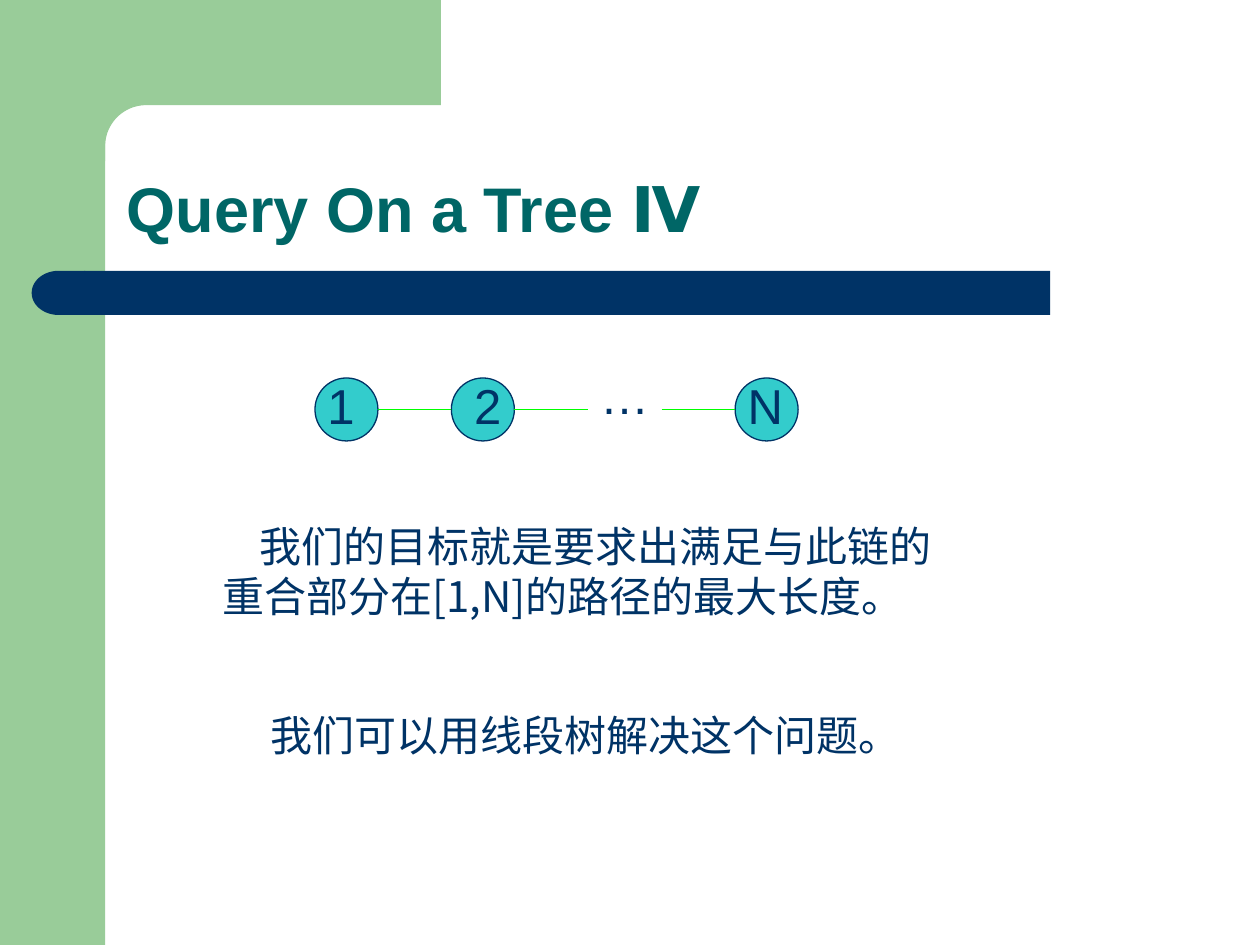
import math
from pptx import Presentation, util as u
from pptx.dml.color import RGBColor
from pptx.enum import shapes, text
from pptx.oxml.ns import qn
from lxml import etree

GREEN, NAVY, TEAL = "99CC99", "003366", "006666"
CYAN, LIME = "33CCCC", "00FF00"


def rgb(value):
    return RGBColor.from_string(value)


class Deck:
    font, cjk, line_width = "Arial", "Noto Sans CJK SC", 0.74

    def __init__(self, width, height):
        self.prs = Presentation()
        self.prs.slide_width, self.prs.slide_height = u.Cm(width), u.Cm(height)
        self.s = self.prs.slides.add_slide(self.prs.slide_layouts[6])

    def paint(self, sp, fill, line=None):
        sp.shadow.inherit = False
        sp.fill.solid()
        sp.fill.fore_color.rgb = rgb(fill)
        if line:
            sp.line.color.rgb = rgb(line)
            sp.line.width = u.Pt(self.line_width)
        else:
            sp.line.fill.background()
        return sp

    def shape(self, kind, box, fill, line=None):
        sp = self.s.shapes.add_shape(kind, *map(u.Cm, box))
        return self.paint(sp, fill, line)

    def outline(self, points, fill):
        points = [(u.Cm(x), u.Cm(y)) for x, y in points]
        fb = self.s.shapes.build_freeform(*points[0])
        fb.add_line_segments(points[1:], close=True)
        return self.paint(fb.convert_to_shape(), fill)

    def line(self, x1, x2, y, color):
        c = self.s.shapes.add_connector(
            shapes.MSO_CONNECTOR.STRAIGHT, *map(u.Cm, (x1, y, x2, y)))
        c.line.color.rgb = rgb(color)
        c.line.width = u.Pt(self.line_width)
        etree.SubElement(c._element.spPr, qn("a:effectLst"))

    def text(self, words, box, size, color=NAVY, font=None, bold=False,
             anchor=text.MSO_ANCHOR.TOP, indent=0, spacing=1.0):
        tf = self.s.shapes.add_textbox(*map(u.Cm, box)).text_frame
        tf.word_wrap, tf.vertical_anchor = True, anchor
        p = tf.paragraphs[0]
        p.line_spacing = spacing
        if indent:
            p._p.get_or_add_pPr().set("indent", str(u.Cm(indent)))
        r = p.add_run()
        r.text = words
        style = {"name": font or self.font, "size": u.Pt(size), "bold": bold}
        for name, value in style.items():
            setattr(r.font, name, value)
        r.font.color.rgb = rgb(color)
        ea = etree.SubElement(r._r.get_or_add_rPr(), qn("a:ea"))
        ea.set("typeface", style["name"])


deck = Deck(25.4, 19.05)
kind = shapes.MSO_SHAPE

side, radius, band_right, band_bottom = 2.12, 0.83, 8.89, 2.12
deck.shape(kind.RECTANGLE, (0, 0, side, 19.05), GREEN)
angles = [math.radians(a) for a in range(0, 91, 6)]
corner = [(side + radius * (1 - math.sin(a)), band_bottom + radius * (1 - math.cos(a)))
          for a in angles]
deck.outline([(1.27, 0), (band_right, 0), (band_right, band_bottom), *corner,
              (side, 3.25), (1.27, 3.25)], GREEN)

deck.shape(kind.RECTANGLE, (1.7, 5.46, 19.47, 0.89), NAVY)
cap = deck.shape(kind.FLOWCHART_DELAY, (0.64, 5.46, 1.08, 0.89), NAVY)
cap._element.spPr.xfrm.set("flipH", "1")

deck.text("Query On a Tree Ⅳ", (2.31, 2.31, 21.62, 2.77), 36, TEAL, bold=True,
          anchor=text.MSO_ANCHOR.BOTTOM, spacing=0.9)

size, top, link = 1.27, 7.62, 1.48
nodes = [("1", 6.35, 6.35), ("2", 9.1, 9.31), ("N", 14.82, 14.82)]
for _, x, _ in nodes:
    deck.shape(kind.OVAL, (x, top, size, size), CYAN, NAVY)
for x in (nodes[0][1] + size, nodes[1][1] + size, nodes[2][1] - link):
    deck.line(x, x + link, top + size / 2, LIME)
deck.text("…", (11.85, 7.25, 4.02, 1.44), 28)
for label, _, x in nodes:
    deck.text(label, (x, 7.44, 2.96, 1.44), 28)

for words, box in [
    ("我们的目标就是要求出满足与此链的重合部分在[1,N]的路径的最大长度。",
     (4.23, 10.37, 15.45, 2.29)),
    ("我们可以用线段树解决这个问题。", (4.45, 14.18, 16.3, 1.27)),
]:
    deck.text(words, box, 24, font=deck.cjk, indent=0.75)

deck.prs.save("out.pptx")
